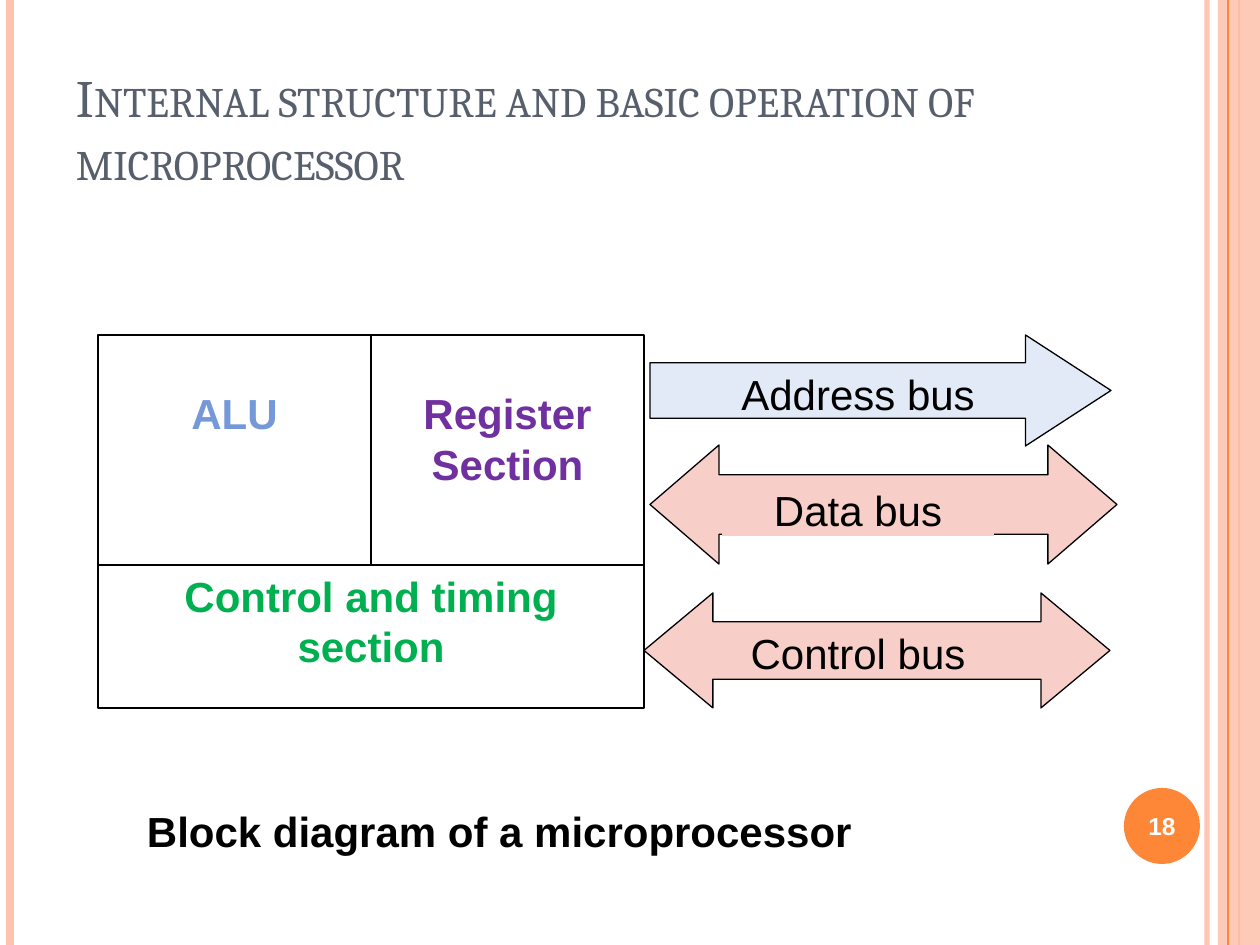
from lxml.etree import SubElement
from pptx import Presentation
from pptx.dml.color import RGBColor
from pptx.enum.shapes import MSO_CONNECTOR as Link, MSO_SHAPE as Shape
from pptx.enum.text import MSO_ANCHOR as Anchor, PP_ALIGN as Align
from pptx.oxml.ns import qn
from pptx.util import Pt

SCALE = 914400 / 126
COLORS = {
    "white": "FFFFFF", "black": "000000", "peach": "FEC3AE", "orange": "FE8637",
    "slate": "575F6D", "alu": "7598D9", "register": "7030A0", "control": "00B050",
    "address": "E3EAF7", "bus": "F8CFC8",
}


def px(*lengths):
    return [round(length * SCALE) for length in lengths]


def rgb(name):
    return RGBColor.from_string(COLORS[name])


def set_opacity(element, percent):
    color = next(element.iter(qn("a:srgbClr")))
    SubElement(color, qn("a:alpha")).set("val", str(percent * 1000))


def add_rule(page, x, height, color, width, opacity=100):
    rule = page.shapes.add_connector(Link.STRAIGHT, *px(x, 0, x, height))
    rule.line.color.rgb = rgb(color)
    rule.line.width = Pt(width)
    if opacity < 100:
        set_opacity(rule.line._get_or_add_ln(), opacity)
    SubElement(rule._element.spPr, qn("a:effectLst"))


def add_block(page, kind, box, fill, outlined=False):
    block = page.shapes.add_shape(kind, *px(*box))
    block.shadow.inherit = False
    block.fill.solid()
    block.fill.fore_color.rgb = rgb(fill)
    if outlined:
        block.line.color.rgb = rgb("black")
        block.line.width = Pt(0.75)
    else:
        block.line.fill.background()
    return block


def write(shape, text, color="black", size=24, bold=False, font="Arial",
          align=Align.CENTER, anchor=Anchor.TOP, insets=(12, 5)):
    frame = shape.text_frame
    frame.word_wrap = True
    frame.vertical_anchor = anchor
    side, top = px(*insets)
    frame.margin_left = frame.margin_right = side
    frame.margin_top = top
    frame.margin_bottom = px(5)[0]
    para = frame.paragraphs[0]
    para.alignment = align
    span = para.add_run()
    span.text = text
    span.font.name = font
    span.font.size = Pt(size)
    span.font.bold = bold
    span.font.color.rgb = rgb(color)
    return span


def add_text(page, box, text, **style):
    return write(page.shapes.add_textbox(*px(*box)), text, **style)


def draw_frame(page, box):
    left, top, width, height = box
    right = left + width
    add_rule(page, right - 53, height, "peach", 3, 93)
    add_rule(page, left + 10, height, "peach", 4.5)
    add_rule(page, right - 21, height, "orange", 1.5)
    band = add_block(page, Shape.RECTANGLE, (right - 42, top, 42, height), "peach")
    set_opacity(band._element.spPr, 87)
    add_rule(page, right - 32, height, "orange", 0.75)


def draw_title(page, box):
    span = add_text(page, box, "Internal structure and basic operation of microprocessor",
                    color="slate", size=30, font="Cambria", align=Align.LEFT,
                    anchor=Anchor.BOTTOM, insets=(13, 6))
    span.font._element.set("cap", "small")


def draw_processor(page, box):
    left, top, width, height = box
    half, upper = width // 2, 230
    sections = [
        ("ALU", "alu", (left, top, half, upper), 53),
        ("Register Section", "register", (left + half, top, half, upper), 53),
        ("Control and timing section", "control",
         (left, top + upper, width, height - upper), 5),
    ]
    for text, color, area, inset in sections:
        section = add_block(page, Shape.RECTANGLE, area, "white", True)
        write(section, text, color=color, bold=True, insets=(12, inset))


def draw_buses(page, box):
    left, top, width, height = box
    arrows = [
        (Shape.RIGHT_ARROW, (6, 0, 461, 111), "address", 0.77),
        (Shape.LEFT_RIGHT_ARROW, (6, 110, 467, 119), "bus", 0.58),
        (Shape.LEFT_RIGHT_ARROW, (0, 258, 466, 115), "bus", 0.6),
    ]
    for kind, (x, y, across, down), color, head in arrows:
        arrow = add_block(page, kind, (left + x, top + y, across, down), color, True)
        arrow.adjustments[0] = 0.5
        arrow.adjustments[1] = head
    label_left, label_width = left + 78, 272
    add_text(page, (label_left, top + 28, label_width, 58), "Address bus")
    label = add_block(page, Shape.RECTANGLE, (label_left, top + 144, label_width, 57), "bus")
    write(label, "Data bus")
    add_text(page, (label_left, top + 287, label_width, 58), "Control bus")


def draw_page_number(page, box):
    left, top, width, height = box
    add_block(page, Shape.OVAL, box, "orange")
    add_text(page, (left - 4, top + 2, width + 8, height - 4), "18", color="white",
             size=14, bold=True, anchor=Anchor.MIDDLE)


def draw_caption(page, box):
    add_text(page, box, "Block diagram of a microprocessor", bold=True,
             align=Align.LEFT, insets=(13, 6))


def main():
    deck = Presentation()
    deck.slide_width, deck.slide_height = px(1260, 945)
    page = deck.slides.add_slide(deck.slide_layouts[6])
    draw_frame(page, (0, 0, 1260, 945))
    draw_title(page, (63, 38, 1029, 158))
    draw_processor(page, (98, 335, 546, 373))
    draw_buses(page, (644, 335, 473, 373))
    draw_page_number(page, (1124, 788, 76, 76))
    draw_caption(page, (134, 800, 833, 63))
    deck.save("out.pptx")


if __name__ == "__main__":
    main()
